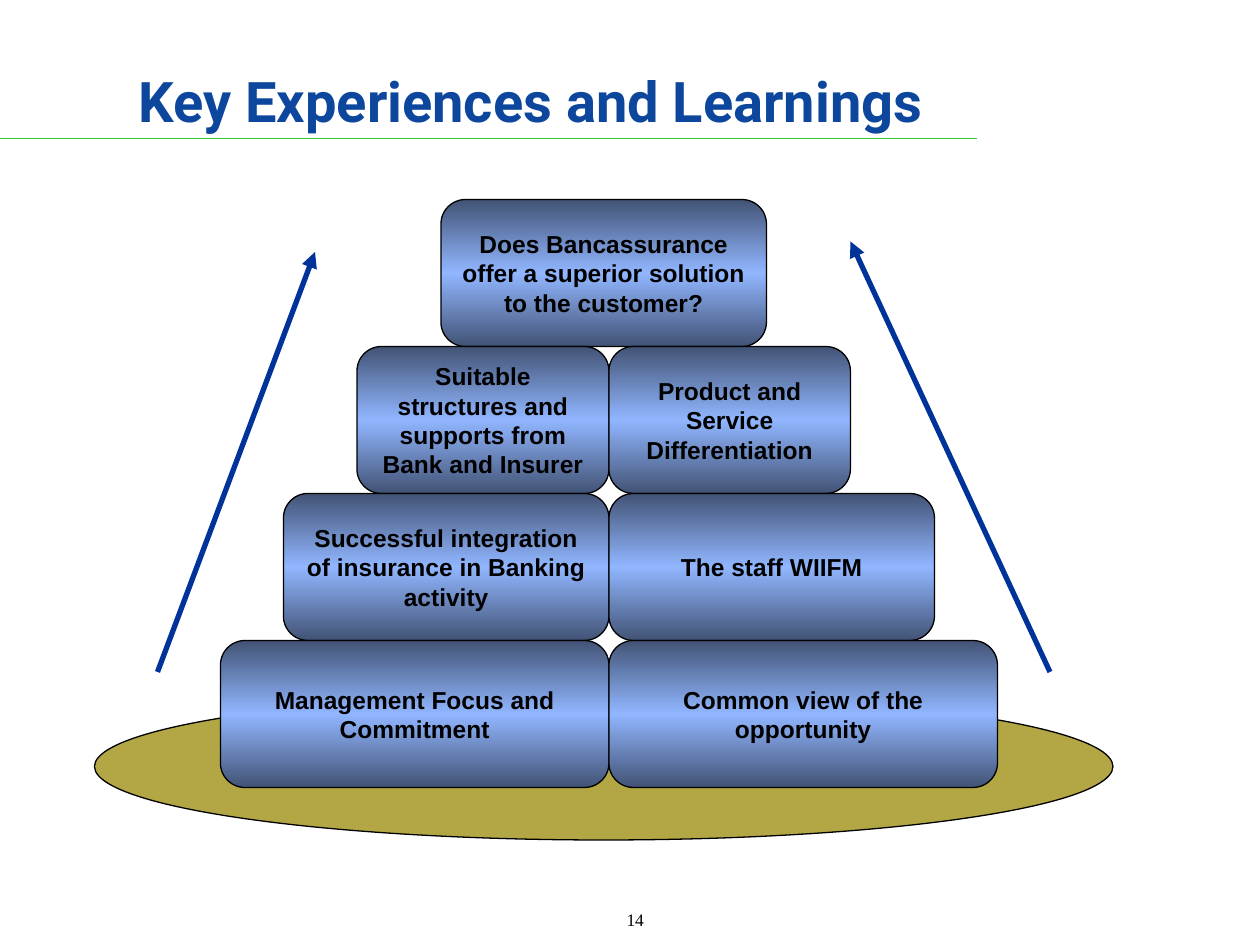
from copy import deepcopy

from pptx import Presentation
from pptx.dml.color import RGBColor
from pptx.enum.shapes import MSO_CONNECTOR as Connector, MSO_SHAPE as Shape
from pptx.enum.text import MSO_ANCHOR as Anchor, PP_ALIGN as Align
from pptx.oxml.ns import qn
from pptx.oxml.xmlchemy import OxmlElement
from pptx.util import Pt

BLACK = RGBColor(0x00, 0x00, 0x00)
TITLE_BLUE = RGBColor(0x0C, 0x47, 0x9D)
ARROW_BLUE = RGBColor(0x00, 0x33, 0x99)
RULE_GREEN = RGBColor(0x33, 0xCC, 0x33)
BASE_OLIVE = RGBColor(0xB3, 0xA6, 0x45)
BLOCK_DARK = RGBColor(0x42, 0x53, 0x75)
BLOCK_LIGHT = RGBColor(0x91, 0xB6, 0xFF)

BLOCK_ROWS = [
    [(-96, 186, "Does Bancassurance offer a superior solution to the customer?")],
    [(-144, 144, "Suitable structures and supports from Bank and Insurer"),
     (0, 138, "Product and Service Differentiation")],
    [(-186, 186, "Successful integration of insurance in Banking activity"),
     (0, 186, "The staff WIIFM")],
    [(-222, 222, "Management Focus and Commitment"),
     (0, 222, "Common view of the opportunity")],
]


def write_text(frame, text, font, size, color=BLACK, bold=False,
               align=Align.CENTER, anchor=Anchor.MIDDLE):
    frame.word_wrap = True
    frame.vertical_anchor = anchor
    paragraph = frame.paragraphs[0]
    paragraph.alignment = align
    run = paragraph.add_run()
    run.text = text
    run.font.name = font
    run.font.size = Pt(size)
    run.font.bold = bold
    run.font.color.rgb = color


def add_outlined(slide, kind, left, top, width, height):
    outlined = slide.shapes.add_shape(kind, Pt(left), Pt(top), Pt(width), Pt(height))
    outlined.shadow.inherit = False
    outlined.line.color.rgb = BLACK
    outlined.line.width = Pt(0.75)
    return outlined


def add_line(slide, start, end, color, width, arrow=False):
    line = slide.shapes.add_connector(
        Connector.STRAIGHT, *(Pt(value) for value in (*start, *end)))
    line.line.color.rgb = color
    line.line.width = Pt(width)
    if arrow:
        head = OxmlElement("a:tailEnd")
        head.set("type", "triangle")
        line.line._get_or_add_ln().append(head)
    line._element.spPr.append(OxmlElement("a:effectLst"))


def add_block(slide, left, top, width, height, text):
    block = add_outlined(slide, Shape.ROUNDED_RECTANGLE, left, top, width, height)
    block.fill.gradient()
    block.fill.gradient_angle = 90
    first_stop = block._element.spPr.find(".//" + qn("a:gs"))
    first_stop.addnext(deepcopy(first_stop))
    shades = [(0, BLOCK_DARK), (0.5, BLOCK_LIGHT), (1, BLOCK_DARK)]
    for stop, (position, color) in zip(block.fill.gradient_stops, shades):
        stop.position = position
        stop.color.rgb = color
    write_text(block.text_frame, text, "Arial", 14, bold=True)


def add_header(slide, left, top, width, height):
    add_line(slide, (0, 79.2), (558, 79.2), RULE_GREEN, 1)
    title = slide.shapes.add_textbox(Pt(left), Pt(top), Pt(width), Pt(height))
    write_text(title.text_frame, "Key Experiences and Learnings", "Roboto", 32,
               color=TITLE_BLUE, bold=True, align=Align.LEFT)


def add_pyramid(slide, left, top, width, height):
    base_height = 84
    base = add_outlined(slide, Shape.OVAL, left, top + height - base_height,
                        width, base_height)
    base.fill.solid()
    base.fill.fore_color.rgb = BASE_OLIVE

    seam = left + 294
    row_height = 84
    for row, blocks in enumerate(BLOCK_ROWS):
        for offset, block_width, text in blocks:
            add_block(slide, seam + offset, top + row * row_height,
                      block_width, row_height, text)

    arrow_foot = top + 270
    add_line(slide, (left + 36, arrow_foot), (left + 126, top + 30),
             ARROW_BLUE, 3, arrow=True)
    add_line(slide, (left + 546, arrow_foot), (left + 432, top + 24),
             ARROW_BLUE, 3, arrow=True)


def add_page_number(slide, left, top, width, height):
    number = slide.shapes.add_textbox(Pt(left), Pt(top), Pt(width), Pt(height))
    write_text(number.text_frame, "14", "Times New Roman", 10, anchor=Anchor.TOP)


def main():
    presentation = Presentation()
    presentation.slide_width = Pt(720)
    presentation.slide_height = Pt(540)
    slide = presentation.slides.add_slide(presentation.slide_layouts[6])
    add_header(slide, 72, 12, 522, 90)
    add_pyramid(slide, 54, 114, 582, 366)
    add_page_number(slide, 300, 516, 126, 24)
    presentation.save("out.pptx")


if __name__ == "__main__":
    main()
